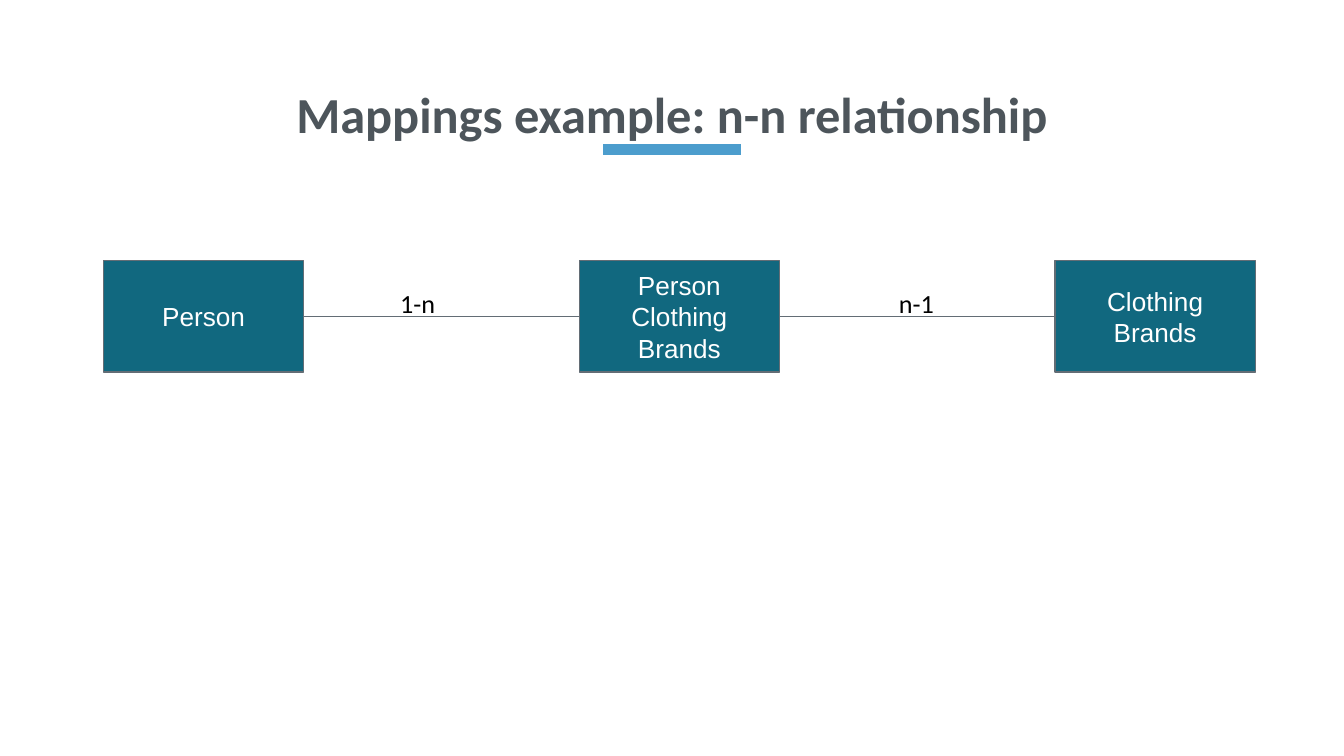
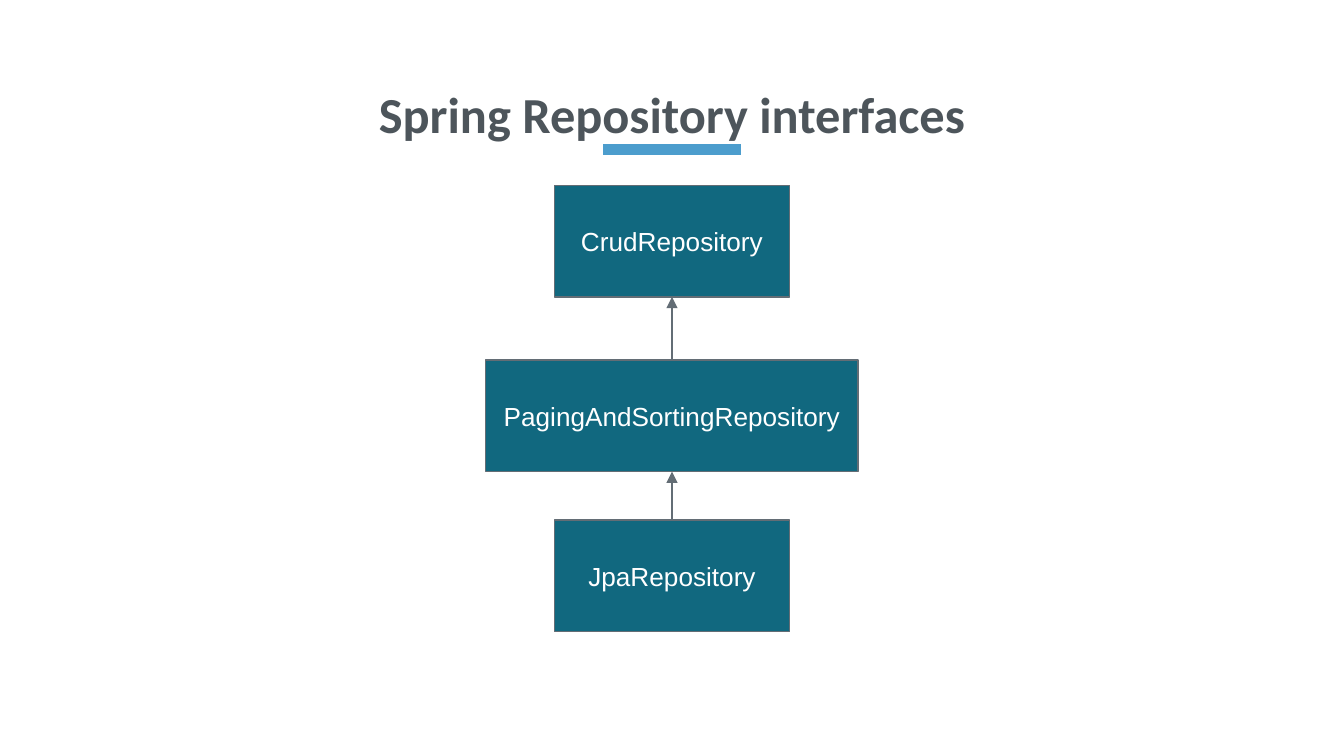
"""Build two slides on entity mappings and repository interfaces."""
from itertools import pairwise

from lxml import etree
from pptx import Presentation
from pptx import util as u
from pptx.dml.color import RGBColor
from pptx.enum import shapes, text
from pptx.oxml.ns import qn

PX = 4572
WIDTH, HEIGHT = 2000, 1125
TEAL, GREY, BLUE = "11687F", "636D75", "4C9DCD"
SLATE, WHITE, BLACK = "4D555B", "FFFFFF", "000000"
RIGHT_TO_LEFT, BOTTOM_TO_TOP = (3, 1), (0, 2)
BOX_HEIGHT = 166


def write(shape, lines, size, face, color, align, anchor, inset=20, wrap=True):
    frame = shape.text_frame
    frame.text = "\n".join(lines)
    frame.word_wrap = wrap
    frame.vertical_anchor = anchor
    frame.margin_left = frame.margin_right = 20 * PX
    frame.margin_top = frame.margin_bottom = inset * PX
    for line in frame.paragraphs:
        line.alignment = align
        line.font.size = u.Pt(size)
        line.font.name = face
        line.font.color.rgb = RGBColor.from_string(color)
    return frame


def draw_line(slide, ends, color, width):
    line = slide.shapes.add_connector(
        shapes.MSO_CONNECTOR.STRAIGHT, *[n * PX for n in ends])
    line.line.color.rgb = RGBColor.from_string(color)
    line.line.width = u.Pt(width)
    etree.SubElement(line._element.spPr, qn("a:effectLst"))
    return line


relation = [["Person"], ["Person", "Clothing Brands"], ["Clothing Brands"]]
repositories = [("JpaRepository", 774, 350),
                ("PagingAndSortingRepository", 536, 554),
                ("CrudRepository", 276, 350)]
diagrams = [
    ("Mappings example: n-n relationship",
     [(lines, 154 + 708 * i, 388, 298) for i, lines in enumerate(relation)],
     RIGHT_TO_LEFT, False, [("1-n", 576), ("n-1", 1318)]),
    ("Spring Repository interfaces",
     [([name], (WIDTH - width) // 2, top, width) for name, top, width in repositories],
     BOTTOM_TO_TOP, True, []),
]

deck = Presentation()
deck.slide_width, deck.slide_height = WIDTH * PX, HEIGHT * PX

for heading, entities, sides, inherits, multiplicities in diagrams:
    slide = deck.slides.add_slide(deck.slide_layouts[6])
    slide.background.fill.solid()
    slide.background.fill.fore_color.rgb = RGBColor.from_string(WHITE)
    draw_line(slide, (898, 222, 1102, 222), BLUE, 6)

    title = slide.shapes.add_textbox(68 * PX, 98 * PX, 1864 * PX, 125 * PX)
    title_line = write(title, [heading], 27, "Calibri", SLATE, text.PP_ALIGN.CENTER,
                       text.MSO_ANCHOR.BOTTOM, inset=10).paragraphs[0]
    title_line.font.bold = True
    title_line.line_spacing = 0.8

    boxes = []
    for lines, left, top, width in entities:
        box = slide.shapes.add_shape(shapes.MSO_SHAPE.RECTANGLE, left * PX, top * PX,
                                     width * PX, BOX_HEIGHT * PX)
        box.shadow.inherit = False
        box.fill.solid()
        box.fill.fore_color.rgb = RGBColor.from_string(TEAL)
        box.line.color.rgb = RGBColor.from_string(GREY)
        box.line.width = u.Pt(0.75)
        write(box, lines, 14, "Arial", WHITE, text.PP_ALIGN.CENTER, text.MSO_ANCHOR.MIDDLE)
        boxes.append(box)

    for start, end in pairwise(boxes):
        link = draw_line(slide, (0, 0, 0, 0), GREY, 0.75)
        link.begin_connect(start, sides[0])
        link.end_connect(end, sides[1])
        if inherits:
            etree.SubElement(link.line._get_or_add_ln(), qn("a:tailEnd"), type="triangle")

    for multiplicity, left in multiplicities:
        label = slide.shapes.add_textbox(left * PX, 408 * PX, 94 * PX, 104 * PX)
        write(label, [multiplicity], 14, "Calibri", BLACK, text.PP_ALIGN.LEFT,
              text.MSO_ANCHOR.TOP, wrap=False)

deck.save("out.pptx")
